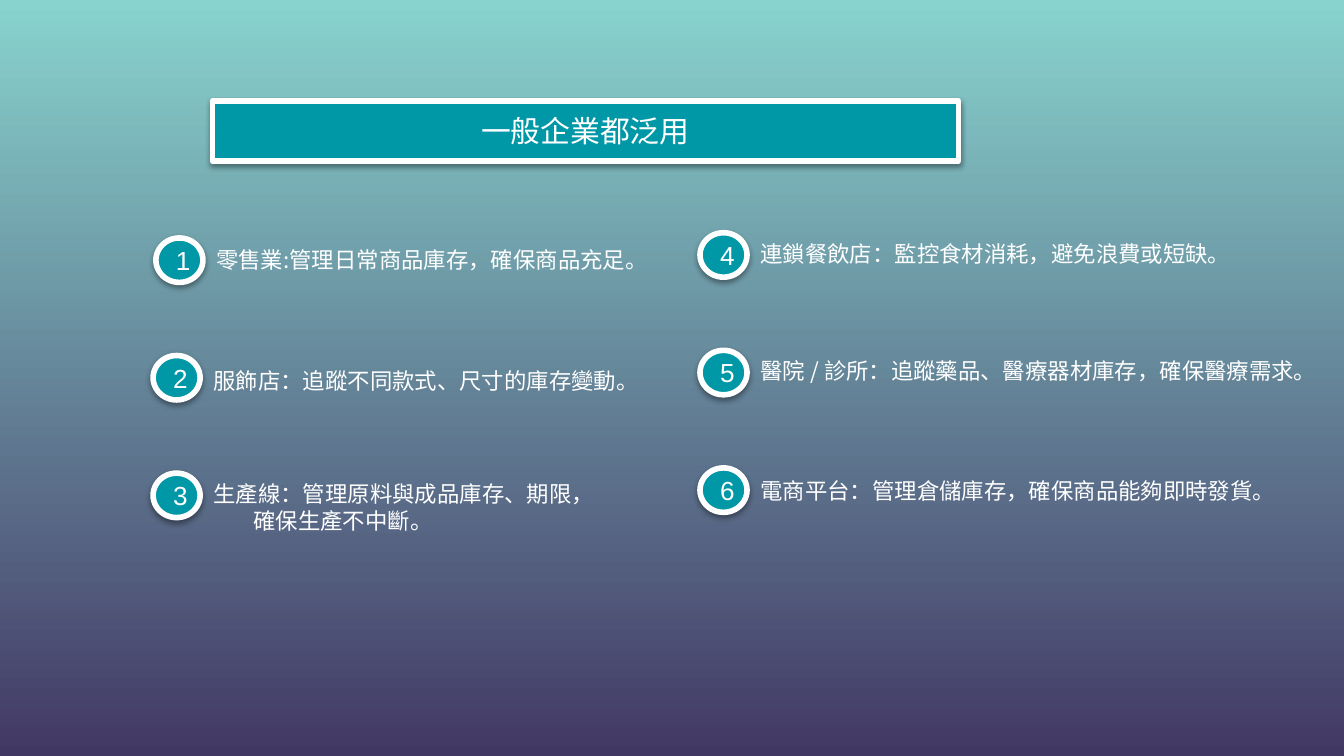
"""Build a slide listing six kinds of business that use stock management."""
from lxml import etree
from pptx import Presentation
from pptx.dml.color import RGBColor
from pptx.enum.shapes import MSO_SHAPE
from pptx.enum.text import MSO_ANCHOR, MSO_AUTO_SIZE, PP_ALIGN
from pptx.oxml import parse_xml
from pptx.oxml.ns import qn
from pptx.util import Pt

CIRCLE = MSO_SHAPE.FLOWCHART_CONNECTOR
MIDDLE = MSO_ANCHOR.MIDDLE
CENTER = PP_ALIGN.CENTER
LEFT = PP_ALIGN.LEFT
NO_FIT = MSO_AUTO_SIZE.NONE
GROW = MSO_AUTO_SIZE.SHAPE_TO_FIT_TEXT

SKY = RGBColor(0x88, 0xD3, 0xCE)
PURPLE = RGBColor(0x42, 0x38, 0x64)
TEAL = RGBColor(0x00, 0x97, 0xA7)
WHITE = RGBColor(0xFF, 0xFF, 0xFF)

CJK_FONT = "Noto Sans CJK SC"
NAMESPACE = 'xmlns:a="http://schemas.openxmlformats.org/drawingml/2006/main"'
ROUNDED = f'<a:prstGeom {NAMESPACE} prst="roundRect"><a:avLst/></a:prstGeom>'
SHADOW = (
    f'<a:outerShdw {NAMESPACE} blurRad="{Pt(3.1)}" dist="{Pt(1.6)}" dir="5400000" '
    'rotWithShape="0"><a:srgbClr val="000000"><a:alpha val="38000"/></a:srgbClr></a:outerShdw>'
)

ROW_PITCH = 63
BADGE_WIDTH, BADGE_HEIGHT = 25.2, 23.8
SECOND_LINE_INDENT = 21.4

COLUMNS = [
    [
        (83.5, 127.5, 108.7, 128.2, 280, 21.6, ["零售業:管理日常商品庫存，確保商品充足。"]),
        (82, 190.5, 107.3, 193, 280, 21.6, ["服飾店：追蹤不同款式、尺寸的庫存變動。"]),
        (82, 253.5, 107.3, 253.5, 277.2, 53.3,
         ["生產線：管理原料與成品庫存、期限，", "確保生產不中斷。"]),
    ],
    [
        (375, 124.7, 400.3, 125.3, 298, 21.6, ["連鎖餐飲店：監控食材消耗，避免浪費或短缺。"]),
        (375, 187.7, 400.3, 188, 309.6, 21.6, ["醫院 / 診所：追蹤藥品、醫療器材庫存，確保醫療需求。"]),
        (375, 250.7, 400.3, 252, 285.8, 21.6, ["電商平台：管理倉儲庫存，確保商品能夠即時發貨。"]),
    ],
]


def write(shape, lines, size, font_name, alignment, frame_format):
    text_frame = shape.text_frame
    for name, value in frame_format.items():
        setattr(text_frame, name, value)
    text_frame.text = "\n".join(lines)
    for paragraph in text_frame.paragraphs:
        paragraph.alignment = alignment
        run = paragraph.runs[0]
        for name, value in {"size": Pt(size), "name": font_name}.items():
            setattr(run.font, name, value)
        run.font.color.rgb = WHITE
        east_asian = etree.SubElement(run.font._element, qn("a:ea"))
        east_asian.set("typeface", font_name)


def decorate(shape):
    shape.fill.solid()
    shape.fill.fore_color.rgb = TEAL
    shape.line.color.rgb = WHITE
    shape.line.width = Pt(3)
    shape.shadow.inherit = False
    shape._element.spPr.find(qn("a:effectLst")).append(parse_xml(SHADOW))


presentation = Presentation()
presentation.slide_width = Pt(720)
presentation.slide_height = Pt(405)
slide = presentation.slides.add_slide(presentation.slide_layouts[5])

background = slide.background.fill
background.gradient()
background.gradient_angle = 270
for stop, color in zip(background.gradient_stops, (SKY, PURPLE)):
    stop.color.rgb = color

title = slide.shapes.title
title_place = {"left": 113.8, "top": 54, "width": 399.6, "height": 32.4}
for name, value in title_place.items():
    setattr(title, name, Pt(value))
title._element.spPr.insert(1, parse_xml(ROUNDED))
decorate(title)
centered_frame = {"vertical_anchor": MIDDLE, "auto_size": NO_FIT, "word_wrap": True}
write(title, ["一般企業都泛用"], 16, CJK_FONT, CENTER, centered_frame)

number = 0
for column in COLUMNS:
    badges = slide.shapes.add_group_shape()
    for badge_left, badge_top, text_left, text_top, width, height, lines in column:
        number += 1
        badge = badges.shapes.add_shape(
            CIRCLE, Pt(badge_left), Pt(badge_top), Pt(BADGE_WIDTH), Pt(BADGE_HEIGHT))
        decorate(badge)
        write(badge, [str(number)], 14, "Arial", CENTER, centered_frame)

        description = slide.shapes.add_textbox(
            Pt(text_left), Pt(text_top), Pt(width), Pt(height))
        write(description, lines, 12, CJK_FONT, LEFT, {"word_wrap": True, "auto_size": GROW})
        for paragraph in description.text_frame.paragraphs[1:]:
            paragraph._p.get_or_add_pPr().set("marL", str(Pt(SECOND_LINE_INDENT)))

presentation.save("out.pptx")
